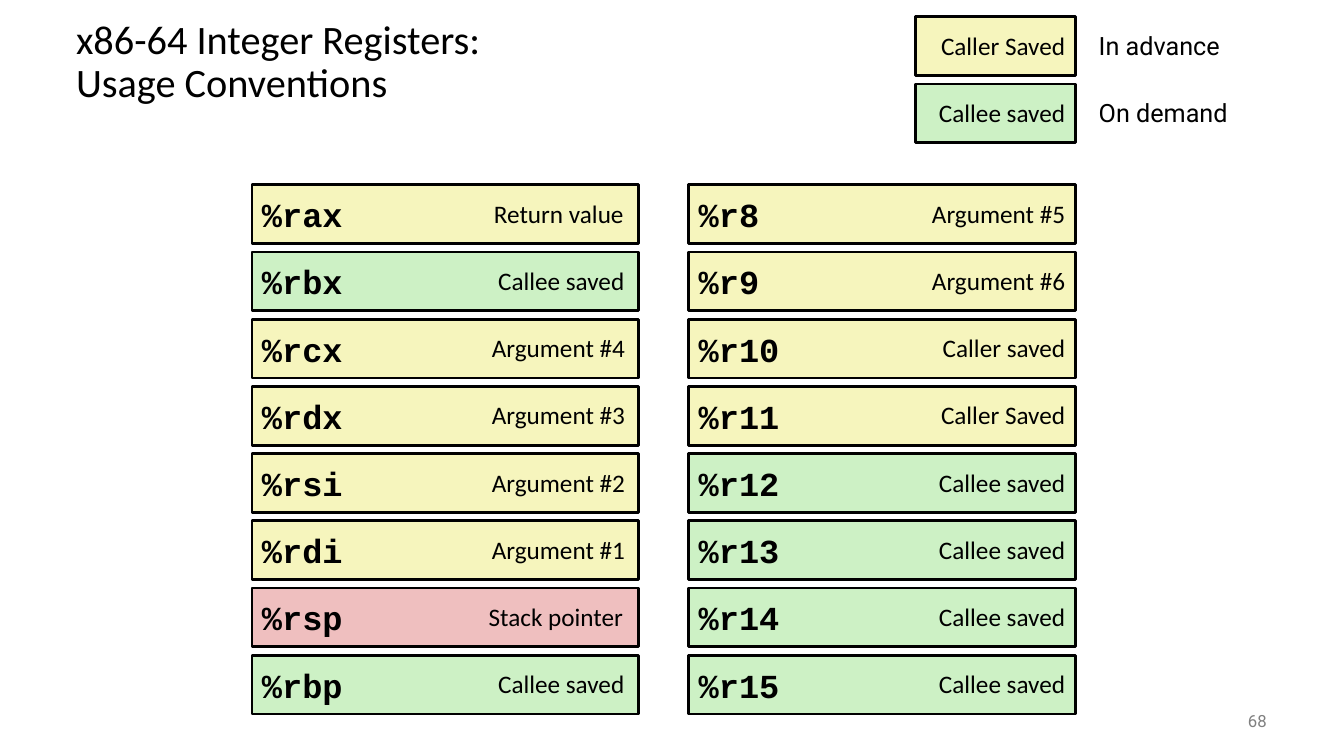
"""Build the slide on x86-64 register usage."""
from pptx import Presentation
from pptx import util as u
from pptx.dml.color import RGBColor
from pptx.enum import shapes, text

PX = 9525
BLACK = RGBColor(0x00, 0x00, 0x00)
GRAY = RGBColor(0x80, 0x80, 0x80)
CALLER = RGBColor(0xF6, 0xF5, 0xBD)
CALLEE = RGBColor(0xCD, 0xF1, 0xC5)
STACK = RGBColor(0xEF, 0xBF, 0xBF)

LEFT, RIGHT = text.PP_ALIGN.LEFT, text.PP_ALIGN.RIGHT
TOP, MIDDLE = text.MSO_ANCHOR.TOP, text.MSO_ANCHOR.MIDDLE
CODE = {"name": "Courier New", "size": u.Pt(24), "bold": True}
LABEL = {"name": "Calibri", "size": u.Pt(18)}
NOTE = {"name": "Roboto", "size": u.Pt(18)}
TITLE = {"name": "Calibri", "size": u.Pt(28.8)}
NUMBER = {"name": "Roboto", "size": u.Pt(12)}

PITCH, HIGH, WIDE = 64, 56, 368
GRID_TOP, KEY_TOP = 176, 16
KEY_X, KEY_WIDE = 872, 152
ROLE_DROP, ROLE_HIGH = 8, 38
ROLE_WIDE = {"Return value": 147, "Stack pointer": 152, "Callee saved": 143,
             "Caller saved": 138, "Caller Saved": 139}
ARG_WIDE = 149

COLUMNS = [
    (240, LEFT, [
        ("%rax", "Return value", CALLER),
        ("%rbx", "Callee saved", CALLEE),
        ("%rcx", "Argument #4", CALLER),
        ("%rdx", "Argument #3", CALLER),
        ("%rsi", "Argument #2", CALLER),
        ("%rdi", "Argument #1", CALLER),
        ("%rsp", "Stack pointer", STACK),
        ("%rbp", "Callee saved", CALLEE),
    ]),
    (656, RIGHT, [
        ("%r8", "Argument #5", CALLER),
        ("%r9", "Argument #6", CALLER),
        ("%r10", "Caller saved", CALLER),
        ("%r11", "Caller Saved", CALLER),
        ("%r12", "Callee saved", CALLEE),
        ("%r13", "Callee saved", CALLEE),
        ("%r14", "Callee saved", CALLEE),
        ("%r15", "Callee saved", CALLEE),
    ]),
]
KEYS = [("Caller Saved", "In advance", CALLER),
        ("Callee saved", "On demand", CALLEE)]


def scale(*sizes):
    """Turn px lengths into EMU."""
    return [size * PX for size in sizes]


def write(frame, words, style, align=LEFT, anchor=MIDDLE, wrap=False,
          color=BLACK):
    """Fill a text frame with one styled paragraph and return it."""
    frame.word_wrap = wrap
    frame.vertical_anchor = anchor
    para = frame.paragraphs[0]
    para.text = words
    para.alignment = align
    for run in para.runs:
        for key, value in style.items():
            setattr(run.font, key, value)
        run.font.color.rgb = color
    return para


def add_text(slide, box, words, style, **format):
    """Add a text box and return its paragraph."""
    frame = slide.shapes.add_textbox(*scale(*box)).text_frame
    return write(frame, words, style, **format)


def add_bar(slide, box, fill, words=""):
    """Add an outlined bar, with a register name if given."""
    bar = slide.shapes.add_shape(shapes.MSO_SHAPE.RECTANGLE, *scale(*box))
    bar.shadow.inherit = False
    bar.fill.solid()
    bar.fill.fore_color.rgb = fill
    bar.line.color.rgb = BLACK
    bar.line.width = u.Pt(2)
    if words:
        write(bar.text_frame, words, CODE)


def add_role(slide, edge, top, words, align):
    """Add a role label that ends at the right edge of its bar."""
    wide = ROLE_WIDE.get(words, ARG_WIDE)
    box = (edge - wide, top + ROLE_DROP, wide, ROLE_HIGH)
    add_text(slide, box, words, LABEL, align=align, anchor=TOP)


def add_column(slide, left, align, rows):
    """Add one column of registers with their roles."""
    for i, (name, role, fill) in enumerate(rows):
        top = GRID_TOP + i * PITCH
        add_bar(slide, (left, top, WIDE, HIGH), fill, name)
        add_role(slide, left + WIDE, top, role, align)


def add_key(slide):
    """Add the colour key with its notes."""
    for i, (role, note, fill) in enumerate(KEYS):
        top = KEY_TOP + i * PITCH
        add_bar(slide, (KEY_X, top, KEY_WIDE, HIGH), fill)
        add_role(slide, KEY_X + KEY_WIDE, top, role, RIGHT)
        add_text(slide, (1037, top + ROLE_DROP, 152, ROLE_HIGH), note, NOTE,
                 anchor=TOP, wrap=True)


def main():
    """Build and save the slide."""
    deck = Presentation()
    deck.slide_width, deck.slide_height = scale(1280, 720)
    slide = deck.slides.add_slide(deck.slide_layouts[6])
    title = add_text(slide, (63, 24, 1152, 72),
                     "x86-64 Integer Registers:\vUsage Conventions",
                     TITLE, wrap=True)
    title.line_spacing = 0.9
    for column in COLUMNS:
        add_column(slide, *column)
    add_key(slide)
    add_text(slide, (1120, 667, 96, 38), "68", NUMBER, align=RIGHT,
             wrap=True, color=GRAY)
    deck.save("out.pptx")


if __name__ == "__main__":
    main()
